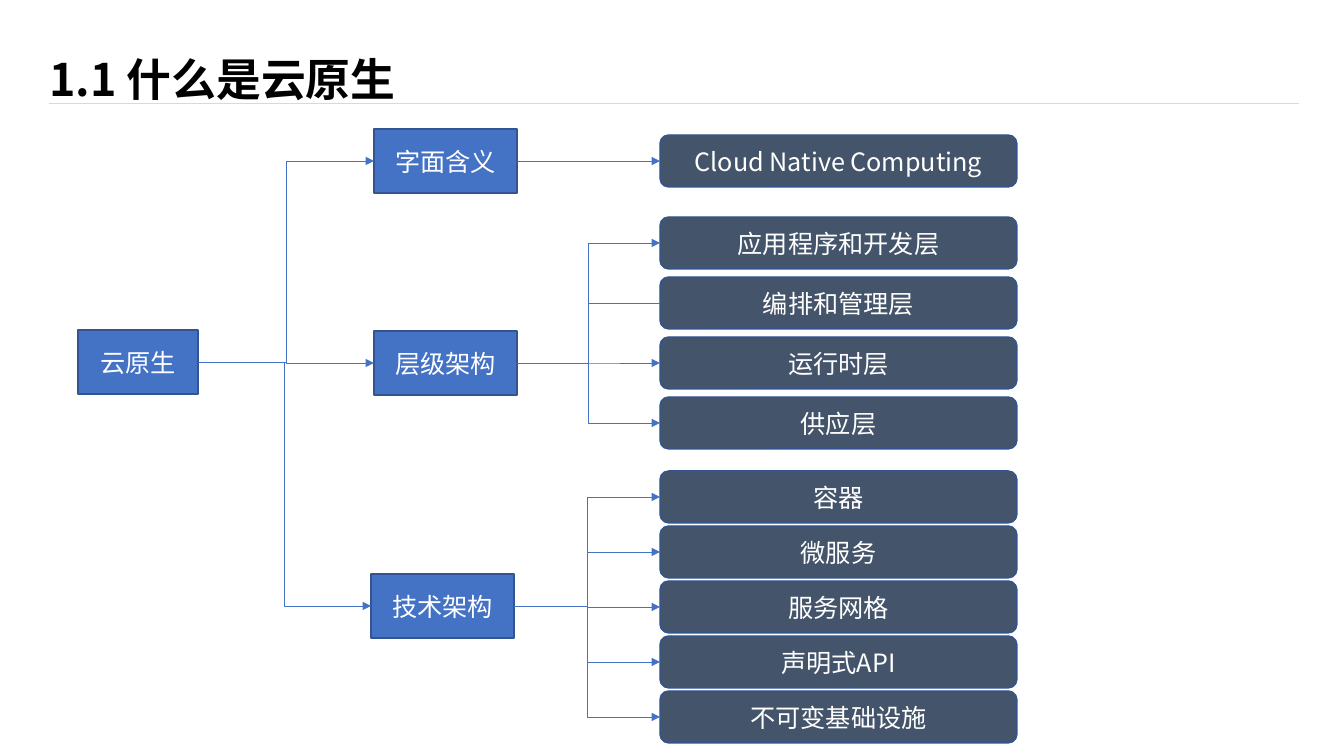
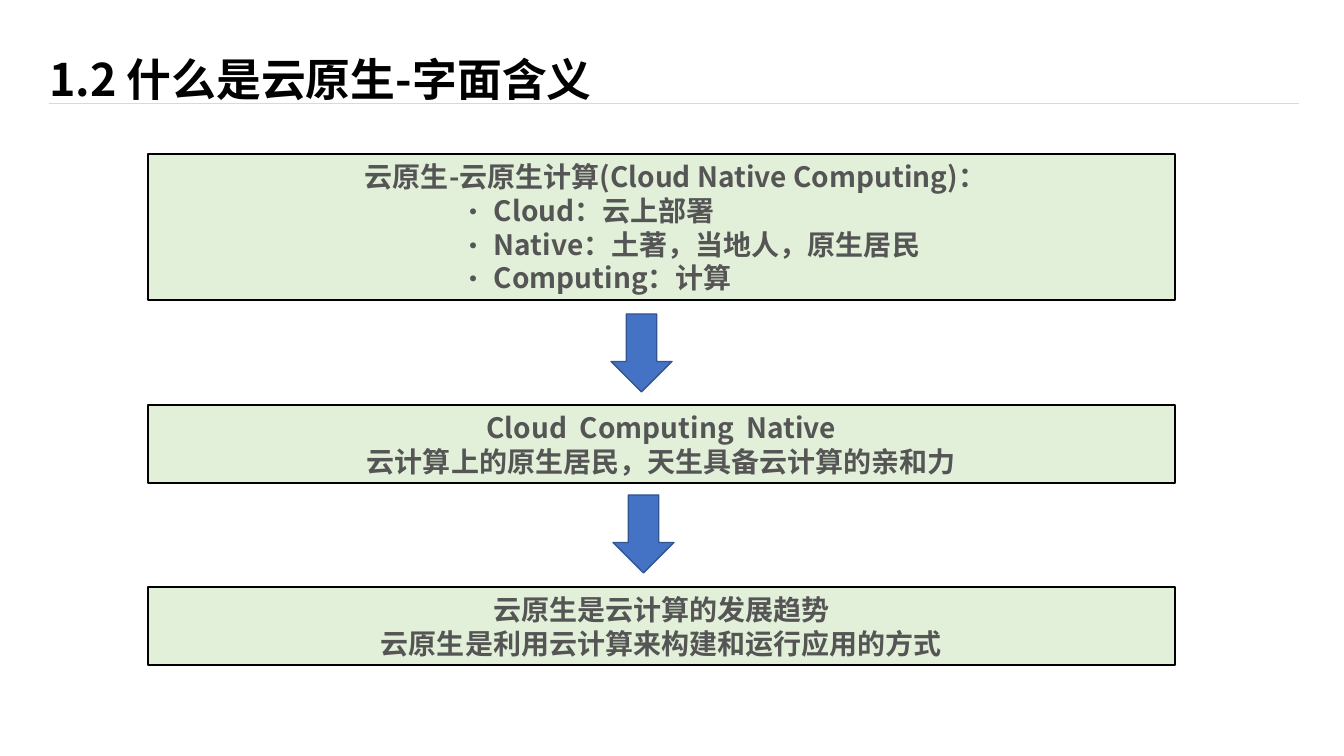
from lxml import etree
from pptx import Presentation
from pptx.dml.color import RGBColor
from pptx.enum.shapes import MSO_CONNECTOR, MSO_SHAPE
from pptx.enum.text import MSO_ANCHOR, PP_ALIGN
from pptx.oxml.ns import qn
from pptx.util import Emu, Pt

SCALE = 914400 / 100.8
FONT = "Noto Sans CJK SC"
COLORS = {
    "title": "000000", "rule": "D9D9D9", "node": "4472C4", "edge": "325491",
    "leaf": "44546A", "light": "FFFFFF", "panel": "E2F0D9",
    "panel_edge": "000000", "body": "555555",
}
TOP_SITE, LEFT_SITE, BOTTOM_SITE, RIGHT_SITE = range(4)


def px(length):
    """Turn pixels into EMU."""
    return Emu(round(length * SCALE))


def rgb(name):
    """Look up a named colour."""
    return RGBColor.from_string(COLORS[name])


def style_text(frame, size, color, bold=False):
    """Give every run of a text frame one font, size and colour."""
    for paragraph in frame.paragraphs:
        for run in paragraph.runs:
            run.font.name = FONT
            run.font.size = Pt(size)
            run.font.bold = bold
            run.font.color.rgb = rgb(color)
            east_asian = etree.SubElement(run.font._element, qn("a:ea"))
            east_asian.set("typeface", FONT)


def add_block(slide, kind, box, fill, edge):
    """Add a filled, outlined shape in the given box."""
    block = slide.shapes.add_shape(kind, *map(px, box))
    block.shadow.inherit = False
    block.fill.solid()
    block.fill.fore_color.rgb = rgb(fill)
    block.line.color.rgb = rgb(edge)
    block.line.width = Pt(1)
    return block


def add_line(slide, kind, color, ends=(0, 0, 0, 0)):
    """Add a thin line without a shadow."""
    line = slide.shapes.add_connector(kind, *map(px, ends))
    line.line.color.rgb = rgb(color)
    line.line.width = Pt(0.5)
    etree.SubElement(line._element.spPr, qn("a:effectLst"))
    return line


def add_link(slide, parent, child, arrow=True):
    """Join the right side of one node to the left side of another."""
    link = add_line(slide, MSO_CONNECTOR.ELBOW, "node")
    link.begin_connect(parent, RIGHT_SITE)
    link.end_connect(child, LEFT_SITE)
    if arrow:
        etree.SubElement(link.line._get_or_add_ln(), qn("a:tailEnd")).set("type", "triangle")


def add_node(slide, kind, box, label, fill):
    """Add one labelled node of the tree."""
    node = add_block(slide, kind, box, fill, "edge")
    node.text_frame.text = label
    node.text_frame.paragraphs[0].alignment = PP_ALIGN.CENTER
    style_text(node.text_frame, 18, "light")
    return node


def add_titled_slide(deck, title):
    """Start a blank slide with the shared title and rule."""
    slide = deck.slides.add_slide(deck.slide_layouts[6])
    heading = slide.shapes.add_textbox(px(49), px(47), px(1042), px(64))
    frame = heading.text_frame
    frame.word_wrap = True
    frame.margin_left = frame.margin_right = 0
    frame.text = title
    style_text(frame, 32, "title", bold=True)
    add_line(slide, MSO_CONNECTOR.STRAIGHT, "rule", (49, 103, 1299, 103))
    return slide


def add_branch(slide, root, box, label, leaves, first_top, pitch, plain=()):
    """Add a branch node and its evenly spaced leaves; plain leaves get no arrow."""
    branch = add_node(slide, MSO_SHAPE.RECTANGLE, box, label, "node")
    add_link(slide, root, branch)
    for row, name in enumerate(leaves):
        leaf_box = (660, first_top + row * pitch, 357, 52)
        leaf = add_node(slide, MSO_SHAPE.ROUNDED_RECTANGLE, leaf_box, name, "leaf")
        add_link(slide, branch, leaf, arrow=name not in plain)


def add_panel(slide, box, lines):
    """Add a green panel with centred lines of text."""
    panel = add_block(slide, MSO_SHAPE.RECTANGLE, box, "panel", "panel_edge")
    frame = panel.text_frame
    frame.vertical_anchor = MSO_ANCHOR.MIDDLE
    frame.text = "\n".join(lines)
    for paragraph in frame.paragraphs:
        paragraph.alignment = PP_ALIGN.CENTER
    style_text(frame, 20, "body", bold=True)
    return frame


def set_indent(paragraph, left, hanging=0):
    """Set the left margin and hanging indent of a paragraph."""
    properties = paragraph._p.get_or_add_pPr()
    properties.set("marL", str(px(left)))
    properties.set("indent", str(-px(hanging)))
    return properties


def add_definition(slide, box, heading, terms):
    """Add a panel with a heading and a bulleted list of terms."""
    first, *items = add_panel(slide, box, [heading, *terms]).paragraphs
    set_indent(first, 28)
    for item in items:
        item.alignment = PP_ALIGN.LEFT
        properties = set_indent(item, 336, 34)
        etree.SubElement(properties, qn("a:buFont")).set("typeface", FONT)
        etree.SubElement(properties, qn("a:buChar")).set("char", "·")


def build_overview(deck):
    """Build the tree of topics."""
    slide = add_titled_slide(deck, "1.1 什么是云原生")
    root = add_node(slide, MSO_SHAPE.RECTANGLE, (78, 330, 120, 64), "云原生", "node")
    add_branch(slide, root, (374, 129, 143, 64), "字面含义",
               ["Cloud Native Computing"], 135, 60)
    add_branch(slide, root, (374, 331, 143, 64), "层级架构",
               ["应用程序和开发层", "编排和管理层", "运行时层", "供应层"],
               217, 60, plain=["编排和管理层"])
    add_branch(slide, root, (371, 574, 143, 64), "技术架构",
               ["容器", "微服务", "服务网格", "声明式API", "不可变基础设施"], 471, 55)


def build_meaning(deck):
    """Build the three panels joined by down arrows."""
    slide = add_titled_slide(deck, "1.2 什么是云原生-字面含义")
    left, width = 148, 1027
    add_definition(slide, (left, 154, width, 146),
                   "云原生-云原生计算(Cloud Native Computing)：",
                   ["Cloud：云上部署", "Native：土著，当地人，原生居民", "Computing：计算"])
    add_panel(slide, (left, 405, width, 78),
              ["Cloud  Computing  Native", "云计算上的原生居民，天生具备云计算的亲和力"])
    add_panel(slide, (left, 587, width, 78),
              ["云原生是云计算的发展趋势", "云原生是利用云计算来构建和运行应用的方式"])
    for arrow_left, arrow_top in ((611, 314), (613, 495)):
        add_block(slide, MSO_SHAPE.DOWN_ARROW, (arrow_left, arrow_top, 61, 78), "node", "edge")


deck = Presentation()
deck.slide_width, deck.slide_height = px(1344), px(756)
build_overview(deck)
build_meaning(deck)
deck.save("out.pptx")
